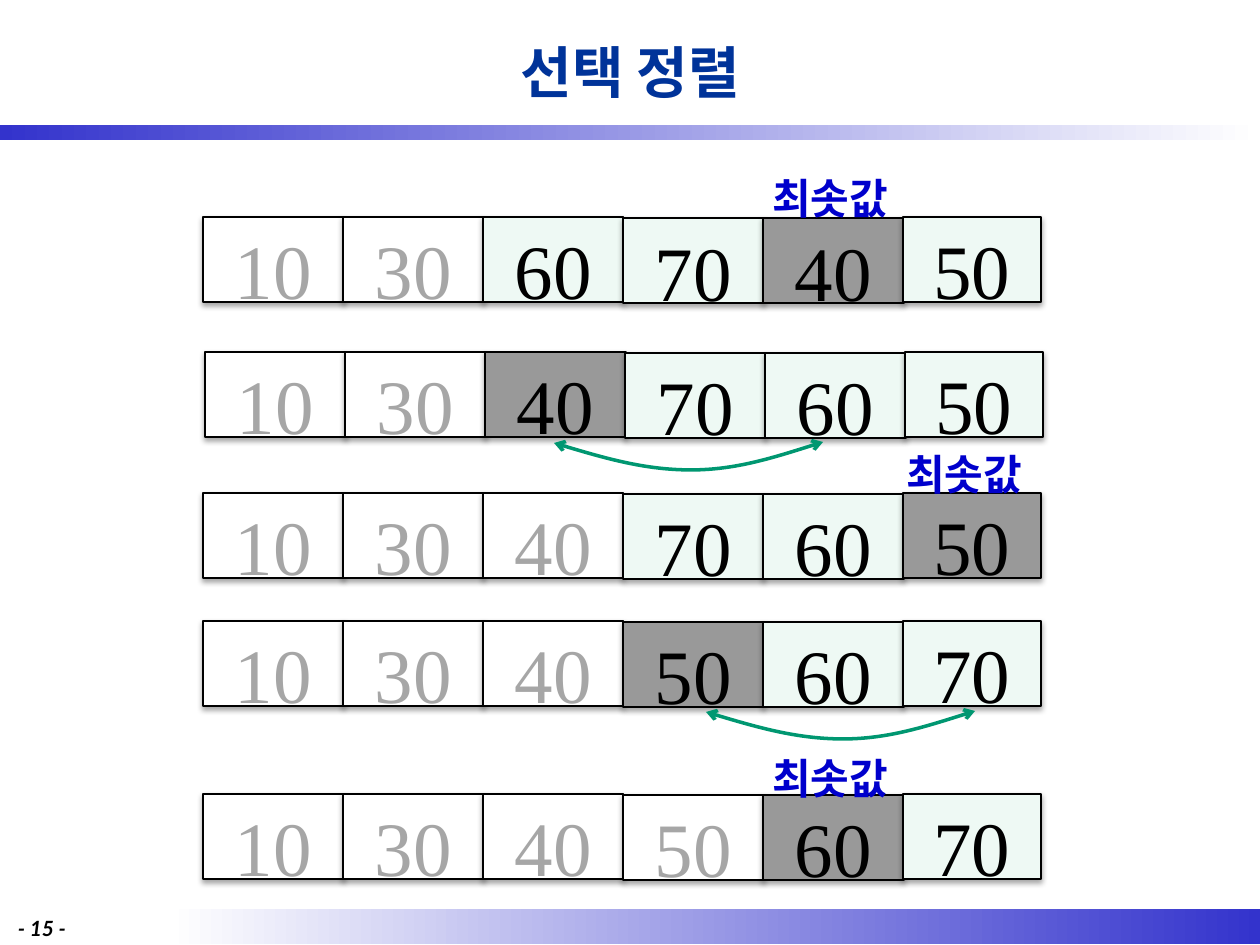
import pptx
import pptx.dml.color
import pptx.enum.shapes
import pptx.enum.text
import pptx.oxml
import pptx.oxml.ns
import pptx.util
from lxml import etree

RGB = pptx.dml.color.RGBColor
PX = 914400 // 126  # EMU per px

WHITE = RGB(0xFF, 0xFF, 0xFF)
BLACK = RGB(0x00, 0x00, 0x00)
BAND_BLUE = RGB(0x33, 0x33, 0xCC)
TITLE_BLUE = RGB(0x00, 0x33, 0x99)
LABEL_BLUE = RGB(0x00, 0x00, 0xCC)
DONE_GRAY = RGB(0xA6, 0xA6, 0xA6)
MIN_GRAY = RGB(0x99, 0x99, 0x99)
OPEN_GREEN = RGB(0xEE, 0xF9, 0xF4)
ARROW_GREEN = RGB(0x00, 0x97, 0x71)

KOREAN = "Noto Sans CJK KR"
TITLE = {"name": KOREAN, "size": 32, "bold": True, "color": TITLE_BLUE}
LABEL = {"name": KOREAN, "size": 24, "bold": True, "color": LABEL_BLUE}
PAGE = {"name": "Lato", "size": 12, "bold": True, "italic": True, "color": BLACK}
DIGIT = {"name": "Times New Roman", "size": 44, "color": BLACK}

RECT = pptx.enum.shapes.MSO_SHAPE.RECTANGLE
CENTER = pptx.enum.text.PP_ALIGN.CENTER
LEFT = pptx.enum.text.PP_ALIGN.LEFT
TOP = pptx.enum.text.MSO_ANCHOR.TOP
MIDDLE = pptx.enum.text.MSO_ANCHOR.MIDDLE

CELL_STEP, CELL_W, LAST_W, CELL_H = 140, 141, 138, 85

# left, top, values, count already sorted, index of the minimum
ROWS = [
    (203, 217, (10, 30, 60, 70, 40, 50), 2, 4),
    (205, 352, (10, 30, 40, 70, 60, 50), 2, 2),
    (203, 493, (10, 30, 40, 70, 60, 50), 3, 5),
    (203, 621, (10, 30, 40, 50, 60, 70), 3, 3),
    (203, 794, (10, 30, 40, 50, 60, 70), 4, 4),
]
MIN_LABELS = [(746, 166), (880, 442), (746, 746)]
SWAPS = [(554, 442), (706, 711)]

SHADOW = (
    f'<a:effectLst {pptx.oxml.ns.nsdecls("a")}>'
    '<a:outerShdw blurRad="40000" dist="23000" dir="5400000" rotWithShape="0">'
    '<a:srgbClr val="000000"><a:alpha val="35000"/></a:srgbClr>'
    "</a:outerShdw></a:effectLst>"
)


def px(*values):
    return [v * PX for v in values]


def sub(parent, tag, **attrs):
    return etree.SubElement(parent, pptx.oxml.ns.qn(tag), attrs)


def set_text(sp, text, fmt, align=CENTER, anchor=TOP, margins=(13, 6, 13, 6)):
    tf = sp.text_frame
    frame = {"word_wrap": True, "vertical_anchor": anchor}
    sides = ("margin_left", "margin_top", "margin_right", "margin_bottom")
    frame.update(zip(sides, px(*margins)))
    for key, value in frame.items():
        setattr(tf, key, value)
    p = tf.paragraphs[0]
    p.alignment = align
    r = p.add_run()
    r.text = text
    for key, value in fmt.items():
        if key == "color":
            r.font.color.rgb = value
        else:
            setattr(r.font, key, pptx.util.Pt(value) if key == "size" else value)
    if fmt["name"] == KOREAN:
        sub(r.font._element, "a:ea", typeface=KOREAN)


def add_text(s, box, text, fmt, **layout):
    set_text(s.shapes.add_textbox(*px(*box)), text, fmt, **layout)


def add_band(s, box, start, end):
    sp = s.shapes.add_shape(RECT, *px(*box))
    sp.shadow.inherit = False
    sp.line.fill.background()
    sp.fill.gradient()
    sp.fill.gradient_angle = 0
    for stop, color, position in zip(sp.fill.gradient_stops, (start, end), (0, 1)):
        stop.color.rgb = color
        stop.position = position


def add_cell(s, box, value, fill, color):
    sp = s.shapes.add_shape(RECT, *px(*box))
    sp.fill.solid()
    sp.fill.fore_color.rgb = fill
    sp.line.color.rgb = BLACK
    sp.line.width = pptx.util.Pt(0.75)
    sp._element.spPr.append(pptx.oxml.parse_xml(SHADOW))
    set_text(sp, str(value), {**DIGIT, "color": color})


def add_row(s, left, top, values, done, minimum):
    for i, value in enumerate(values):
        width = LAST_W if i == len(values) - 1 else CELL_W
        drop = 1 if i in (3, 4) else 0  # these two columns sit slightly lower
        if i == minimum:
            fill = MIN_GRAY
        else:
            fill = WHITE if i < done else OPEN_GREEN
        color = DONE_GRAY if i < done and i != minimum else BLACK
        add_cell(s, (left + i * CELL_STEP, top + drop, width, CELL_H), value, fill, color)


def add_swap_arrow(s, left, top):
    start = (0, 1)
    curves = [((46, 15), (92, 28), (137, 28)), ((181, 28), (225, 14), (269, 0))]
    fb = s.shapes.build_freeform(left + start[0], top + start[1], scale=PX)
    fb.add_line_segments([(left + c[-1][0], top + c[-1][1]) for c in curves], close=False)
    sp = fb.convert_to_shape()
    sp.shadow.inherit = False
    sp.fill.background()
    sp.line.color.rgb = ARROW_GREEN
    sp.line.width = pptx.util.Pt(2)
    # Bend the straight segments into Bezier curves
    segments = list(sp._element.iter(pptx.oxml.ns.qn("a:lnTo")))
    for segment, curve in zip(segments, curves):
        path = segment.getparent()
        bezier = sub(path, "a:cubicBezTo")
        for x, y in curve:
            sub(bezier, "a:pt", x=str(x), y=str(y))
        path.replace(segment, bezier)
    ln = sp.line._get_or_add_ln()
    for end in ("a:headEnd", "a:tailEnd"):
        sub(ln, end, type="arrow")


def main():
    prs = pptx.Presentation()
    prs.slide_width = pptx.util.Inches(10)
    prs.slide_height = pptx.util.Inches(7.5)
    s = prs.slides.add_slide(prs.slide_layouts[6])

    # Bands, title and page number
    add_band(s, (168, 909, 1092, 35), WHITE, BAND_BLUE)
    add_band(s, (0, 125, 1260, 15), BAND_BLUE, WHITE)
    add_text(s, (95, 6, 1071, 130), "선택 정렬", TITLE, anchor=MIDDLE)
    add_text(s, (5, 910, 89, 30), "- 15 -", PAGE, align=LEFT)

    # Sorting steps
    for row in ROWS:
        add_row(s, *row)
    for left, top in MIN_LABELS:
        add_text(s, (left, top, 168, 51), "최솟값", LABEL, margins=(13, 7, 13, 0))
    for left, top in SWAPS:
        add_swap_arrow(s, left, top)

    prs.save("out.pptx")


if __name__ == "__main__":
    main()
